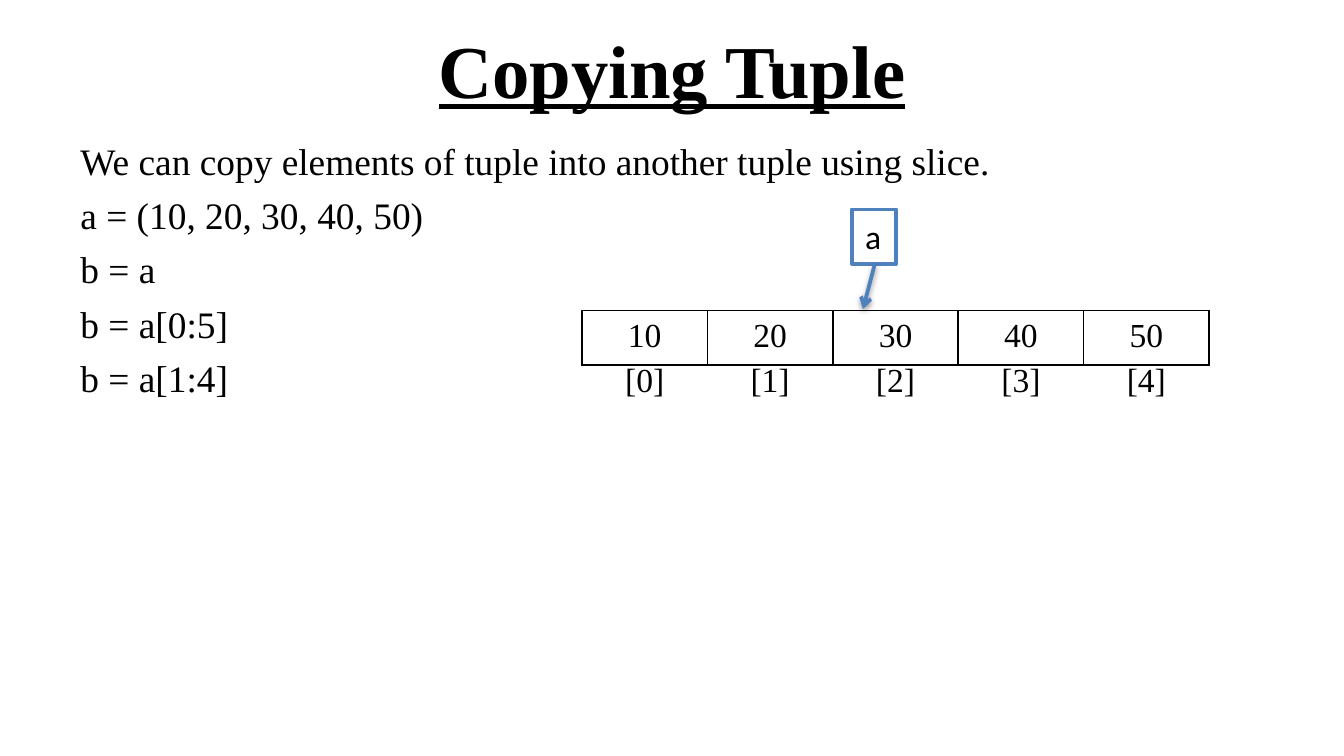
from dataclasses import dataclass

from lxml import etree
from pptx import Presentation
from pptx.dml.color import RGBColor
from pptx.enum import shapes, text
from pptx.oxml import ns
from pptx.util import Cm, Pt

SERIF = "Times New Roman"
BLACK, WHITE, BLUE = "000000", "FFFFFF", "4F81BD"
CENTER = text.PP_ALIGN.CENTER


@dataclass(frozen=True)
class Box:
    """Position and size in centimetres."""
    left: float
    top: float
    width: float
    height: float

    def lengths(self) -> tuple:
        return Cm(self.left), Cm(self.top), Cm(self.width), Cm(self.height)


@dataclass(frozen=True)
class Style:
    size: int
    font: str = SERIF
    bold: bool = False
    underline: bool = False


@dataclass(frozen=True)
class TupleRow:
    box: Box
    values: list[str]
    bordered: bool


def color(value: str) -> RGBColor:
    return RGBColor.from_string(value)


def child(parent, tag: str, **attributes: str):
    element = etree.SubElement(parent, ns.qn(tag))
    for name, value in attributes.items():
        element.set(name, value)
    return element


def add_run(paragraph, wording: str, style: Style) -> None:
    run = paragraph.add_run()
    run.text = wording
    run.font.name = style.font
    run.font.size = Pt(style.size)
    run.font.bold = style.bold
    run.font.underline = style.underline
    run.font.color.rgb = color(BLACK)


def add_lines(slide, box: Box, lines: list[str], style: Style,
              align=text.PP_ALIGN.LEFT, anchor=text.MSO_ANCHOR.TOP,
              gap: float = 0) -> None:
    frame = slide.shapes.add_textbox(*box.lengths()).text_frame
    frame.word_wrap = True
    frame.vertical_anchor = anchor
    for number, line in enumerate(lines):
        paragraph = frame.add_paragraph() if number else frame.paragraphs[0]
        paragraph.alignment = align
        paragraph.space_before = Pt(gap)
        add_run(paragraph, line, style)


def set_borders(cell, visible: bool) -> None:
    properties = cell._tc.get_or_add_tcPr()
    for side in ("a:lnL", "a:lnR", "a:lnT", "a:lnB"):
        border = child(properties, side, w=str(Pt(1)))
        if visible:
            child(child(border, "a:solidFill"), "a:srgbClr", val=BLACK)
        else:
            child(border, "a:noFill")


def add_tuple_row(slide, row: TupleRow) -> None:
    count = len(row.values)
    table = slide.shapes.add_table(1, count, *row.box.lengths()).table
    table.first_row = table.horz_banding = False
    for column, value in enumerate(row.values):
        table.columns[column].width = Cm(row.box.width / count)
        cell = table.cell(0, column)
        set_borders(cell, row.bordered)
        cell.fill.background()
        paragraph = cell.text_frame.paragraphs[0]
        paragraph.alignment = CENTER
        add_run(paragraph, value, Style(18))


def add_variable(slide, box: Box, name: str) -> None:
    """Draw a framed variable name."""
    variable = slide.shapes.add_shape(shapes.MSO_SHAPE.RECTANGLE, *box.lengths())
    variable.shadow.inherit = False
    variable.fill.solid()
    variable.fill.fore_color.rgb = color(WHITE)
    variable.line.color.rgb = color(BLUE)
    variable.line.width = Pt(2)
    frame = variable.text_frame
    frame.word_wrap = False
    frame.vertical_anchor = text.MSO_ANCHOR.TOP
    frame.paragraphs[0].alignment = text.PP_ALIGN.LEFT
    add_run(frame.paragraphs[0], name, Style(18, "Calibri"))


def add_reference(slide, start: tuple[float, float], end: tuple[float, float]) -> None:
    """Draw a softly shadowed arrow from a variable to its tuple."""
    arrow = slide.shapes.add_connector(
        shapes.MSO_CONNECTOR.STRAIGHT, *map(Cm, start), *map(Cm, end))
    arrow.line.color.rgb = color(BLUE)
    arrow.line.width = Pt(2)
    properties = arrow._element.spPr
    child(properties.find(ns.qn("a:ln")), "a:tailEnd", type="arrow")
    shadow = child(child(properties, "a:effectLst"), "a:outerShdw",
                   blurRad=str(Pt(3.1)), dist=str(Pt(1.6)), dir="5400000",
                   rotWithShape="0")
    child(child(shadow, "a:srgbClr", val=BLACK), "a:alpha", val="38000")


def main() -> None:
    deck = Presentation()
    deck.slide_width, deck.slide_height = Cm(25.4), Cm(14.29)
    slide = deck.slides.add_slide(deck.slide_layouts[6])

    add_lines(slide, Box(1.27, 0.1, 22.86, 2.39), ["Copying Tuple"],
              Style(40, bold=True, underline=True), CENTER, text.MSO_ANCHOR.MIDDLE)
    statements = [
        "We can copy elements of tuple into another tuple using slice.",
        "a = (10, 20, 30, 40, 50)",
        "b = a",
        "b = a[0:5]",
        "b = a[1:4]",
    ]
    add_lines(slide, Box(1.27, 2.49, 22.86, 9.96), statements, Style(20), gap=5)

    add_variable(slide, Box(16.1, 3.96, 0.84, 1.03), "a")
    add_reference(slide, (16.53, 5), (16.31, 5.84))

    elements = [str(value) for value in range(10, 60, 10)]
    indexes = [f"[{index}]" for index in range(len(elements))]
    add_tuple_row(slide, TupleRow(Box(11, 5.87, 11.85, 1.03), elements, True))
    add_tuple_row(slide, TupleRow(Box(11, 6.73, 11.85, 1.03), indexes, False))

    deck.save("out.pptx")


if __name__ == "__main__":
    main()
